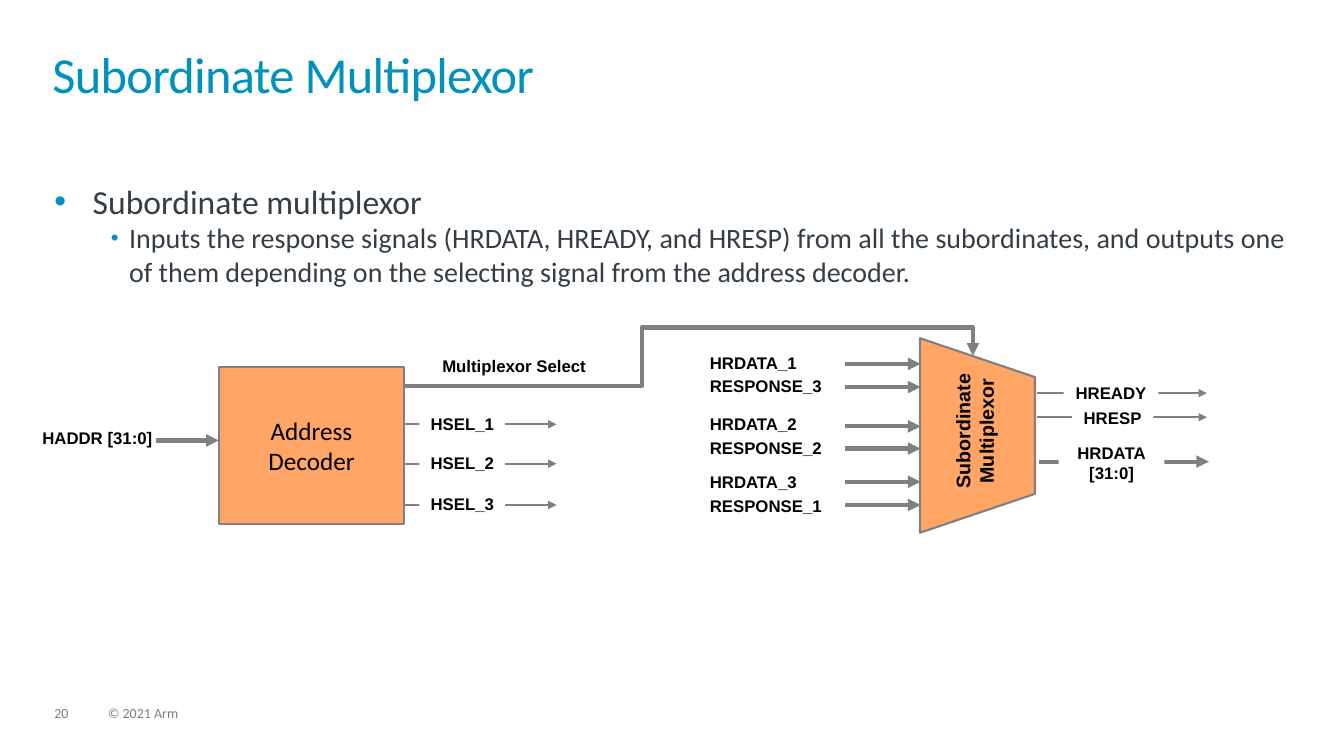
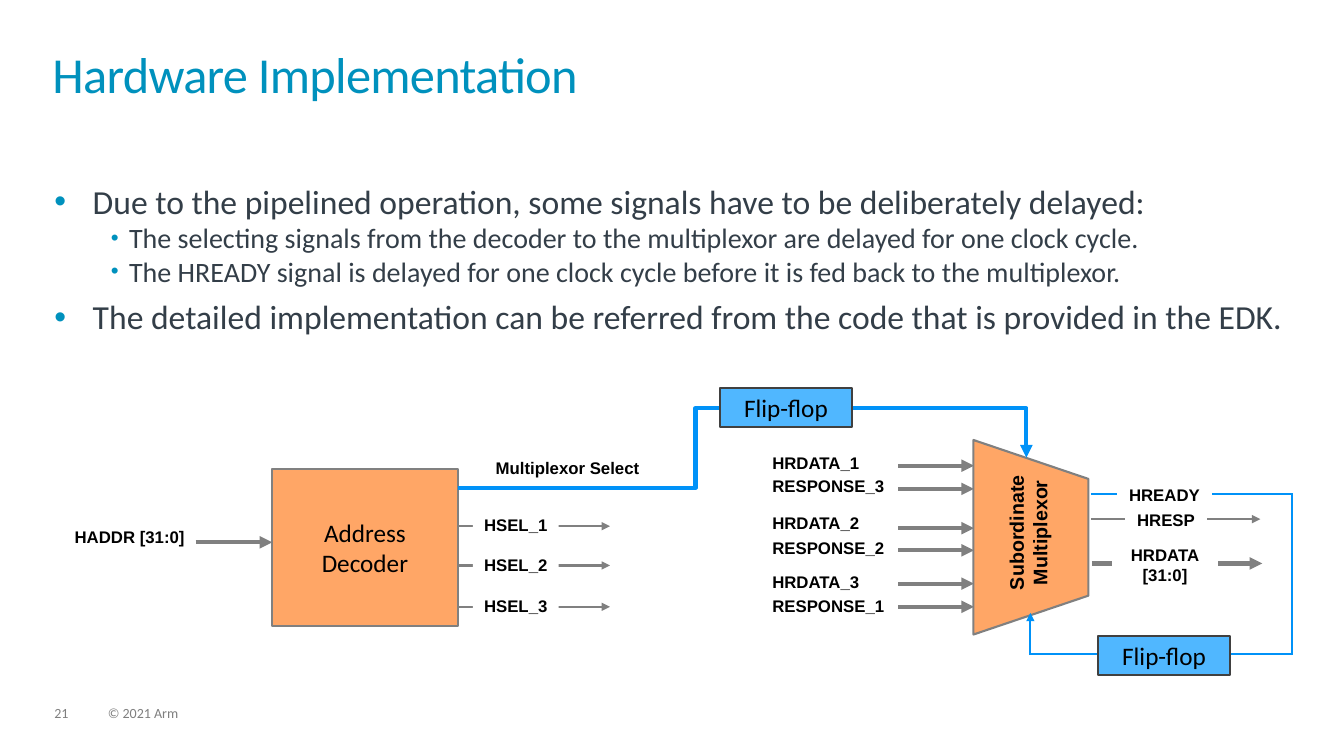
from dataclasses import dataclass
from typing import Optional

import lxml.etree
import pptx
import pptx.dml.color
import pptx.enum.shapes
import pptx.enum.text
import pptx.oxml.ns
import pptx.util

RGBColor = pptx.dml.color.RGBColor
Align = pptx.enum.text.PP_ALIGN
Anchor = pptx.enum.text.MSO_ANCHOR
Shape = pptx.enum.shapes.MSO_SHAPE
Connector = pptx.enum.shapes.MSO_CONNECTOR
Pt = pptx.util.Pt
qn = pptx.oxml.ns.qn

WHITE = RGBColor(0xFF, 0xFF, 0xFF)
BLACK = RGBColor(0, 0, 0)
TEAL = RGBColor(0x00, 0x91, 0xBD)
SLATE = RGBColor(0x33, 0x3E, 0x48)
FOOTER_GREY = RGBColor(0x7F, 0x7F, 0x7F)
WIRE_GREY = RGBColor(0x80, 0x80, 0x80)
WIRE_BLUE = RGBColor(0x00, 0x92, 0xF8)
ORANGE = RGBColor(0xFF, 0xA6, 0x66)
SKY = RGBColor(0x50, 0xB7, 0xFF)
CHARCOAL = RGBColor(0x40, 0x40, 0x40)

CELL = pptx.util.Inches(0.1)
THIN, THICK = 1.5, 3
HSEL_ROWS = (5.7, 9.6, 13.7)
RESPONSE_ROWS = (-0.3, 2, 5.9, 8.1, 11.4, 13.7)
RESPONSE_LABELS = (
    ("HRDATA_1", -1.4), ("RESPONSE_3", 0.9),
    ("HRDATA_2", 4.6), ("RESPONSE_2", 7),
    ("HRDATA_3", 10.4), ("RESPONSE_1", 12.8),
)


@dataclass(frozen=True)
class Style:
    size: float
    color: RGBColor = BLACK
    name: str = "Calibri"
    bold: bool = False
    align: Align = Align.LEFT
    spacing: Optional[float] = None


@dataclass(frozen=True)
class Box:
    col: float
    row: float
    cols: float
    rows: float


@dataclass(frozen=True)
class Wire:
    col1: float
    row1: float
    col2: float
    row2: float
    width: float = THIN
    color: RGBColor = WIRE_GREY
    arrow: bool = True


@dataclass(frozen=True)
class Bullet:
    text: str
    level: int = 0


@dataclass(frozen=True)
class Diagram:
    col: float
    row: float
    haddr_col: float
    label_col: float
    label_lift: float
    select_top: float
    select_color: RGBColor
    delayed: bool


@dataclass(frozen=True)
class Page:
    number: int
    title: str
    bullets: tuple[Bullet, ...]
    diagram: Diagram


TITLE = Style(36, TEAL, spacing=0.85)
FOOTER = Style(10, FOOTER_GREY, spacing=0.9)
BLOCK = Style(18, align=Align.CENTER)
SIGNAL = Style(12, name="Arial", bold=True)
SIGNAL_MID = Style(12, name="Arial", bold=True, align=Align.CENTER)
MUX_NAME = Style(14, name="Arial", bold=True, align=Align.CENTER)
BODY = (Style(24, SLATE), Style(20, SLATE))
INDENTS = ((0.38, -0.38, 100), (0.74, -0.18, 80))


def cells(n: float) -> int:
    return round(n * CELL)


def style_paragraph(p, style: Style) -> None:
    p.alignment = style.align
    if style.spacing:
        p.line_spacing = style.spacing
    p.font.size = Pt(style.size)
    p.font.name = style.name
    p.font.bold = style.bold
    p.font.color.rgb = style.color


def write(tf, lines: tuple[str, ...], style: Style) -> None:
    for i, line in enumerate(lines):
        p = tf.add_paragraph() if i else tf.paragraphs[0]
        p.add_run().text = line
        style_paragraph(p, style)


def clear_margins(tf) -> None:
    tf.margin_left = tf.margin_right = tf.margin_top = tf.margin_bottom = 0


def add_text(slide, box: Box, lines: tuple[str, ...], style: Style):
    sp = slide.shapes.add_textbox(*map(cells, (box.col, box.row, box.cols, box.rows)))
    tf = sp.text_frame
    tf.word_wrap = True
    clear_margins(tf)
    write(tf, lines, style)
    return sp


def add_bullets(slide, bullets: tuple[Bullet, ...]) -> None:
    tf = add_text(slide, Box(5.4, 17.9, 122.3, 44.7), (), BODY[0]).text_frame
    for i, bullet in enumerate(bullets):
        p = tf.add_paragraph() if i else tf.paragraphs[0]
        p.add_run().text = bullet.text
        left, hang, size = INDENTS[bullet.level]
        if i and bullet.level == 0:
            p.space_before = Pt(6)
        p_pr = p._p.get_or_add_pPr()
        p_pr.set("marL", str(pptx.util.Inches(left)))
        p_pr.set("indent", str(pptx.util.Inches(hang)))
        color = lxml.etree.SubElement(p_pr, qn("a:buClr"))
        lxml.etree.SubElement(color, qn("a:srgbClr")).set("val", str(TEAL))
        lxml.etree.SubElement(p_pr, qn("a:buSzPct")).set("val", str(size * 1000))
        lxml.etree.SubElement(p_pr, qn("a:buFont")).set("typeface", "Arial")
        lxml.etree.SubElement(p_pr, qn("a:buChar")).set("char", "•")
        style_paragraph(p, BODY[bullet.level])


class Canvas:
    def __init__(self, slide, col: float, row: float) -> None:
        self.slide, self.col, self.row = slide, col, row

    def place(self, box: Box) -> Box:
        return Box(self.col + box.col, self.row + box.row, box.cols, box.rows)

    def wire(self, wire: Wire, kind: Connector = Connector.STRAIGHT):
        cx = self.slide.shapes.add_connector(
            kind,
            cells(self.col + wire.col1), cells(self.row + wire.row1),
            cells(self.col + wire.col2), cells(self.row + wire.row2))
        cx.line.color.rgb = wire.color
        cx.line.width = Pt(wire.width)
        if wire.arrow:
            ln = cx.line._get_or_add_ln()
            lxml.etree.SubElement(ln, qn("a:tailEnd")).set("type", "triangle")
        lxml.etree.SubElement(cx._element.spPr, qn("a:effectLst"))
        return cx

    def elbow(self, wire: Wire, via_col: float, via_row: float) -> None:
        cx = self.wire(wire, Connector.ELBOW)
        geom = cx._element.spPr.find(qn("a:prstGeom"))
        geom.set("prst", "bentConnector4")
        guides = geom.find(qn("a:avLst"))
        shares = ((via_col - wire.col1) / (wire.col2 - wire.col1),
                  (via_row - wire.row1) / (wire.row2 - wire.row1))
        for i, share in enumerate(shares, 1):
            gd = lxml.etree.SubElement(guides, qn("a:gd"))
            gd.set("name", f"adj{i}")
            gd.set("fmla", f"val {round(share * 100000)}")

    def label(self, text: str, col: float, row: float, cols: float,
              style: Style = SIGNAL_MID) -> None:
        lines = tuple(text.split("\n"))
        sp = add_text(self.slide, self.place(Box(col, row, cols, 2 * len(lines))), lines, style)
        sp.fill.solid()
        sp.fill.fore_color.rgb = WHITE

    def block(self, box: Box, lines: tuple[str, ...] = (), fill: RGBColor = ORANGE,
              line: RGBColor = WIRE_GREY, kind: Shape = Shape.RECTANGLE):
        at = self.place(box)
        sp = self.slide.shapes.add_shape(
            kind, *map(cells, (at.col, at.row, at.cols, at.rows)))
        sp.shadow.inherit = False
        sp.fill.solid()
        sp.fill.fore_color.rgb = fill
        sp.line.color.rgb = line
        sp.line.width = Pt(THIN)
        tf = sp.text_frame
        tf.word_wrap = False
        tf.vertical_anchor = Anchor.MIDDLE
        write(tf, lines, BLOCK)
        return sp

    def flip_flop(self, col: float, row: float) -> None:
        self.block(Box(col, row, 13.1, 3.9), ("Flip-flop",), SKY, CHARCOAL)


def draw_decoder(canvas: Canvas, d: Diagram) -> None:
    canvas.wire(Wire(-7.6, 7.3, 0, 7.3, THICK))
    canvas.label("HADDR [31:0]", d.haddr_col, 6 + d.label_lift, 11.3, SIGNAL)
    canvas.label("Multiplexor Select", 17.3, -1.1, 24)
    for i, row in enumerate(HSEL_ROWS, 1):
        canvas.wire(Wire(18.4, row, 33.5, row))
        canvas.label(f"HSEL_{i}", 19.9, row - 1.1, 8.5)
    canvas.block(Box(0, 0, 18.4, 15.6), ("Address", "Decoder"))


def draw_multiplexor(canvas: Canvas, d: Diagram) -> None:
    mux = canvas.block(Box(65.6, 1.1, 19.3, 11.4), kind=Shape.FLOWCHART_MANUAL_OPERATION)
    name = add_text(canvas.slide, canvas.place(Box(68, 4, 13.9, 4.7)),
                    ("Subordinate", "Multiplexor"), MUX_NAME)
    mux.rotation = name.rotation = 270
    for text, row in RESPONSE_LABELS:
        canvas.label(text, d.label_col, row + d.label_lift, 12, SIGNAL)
    for row in RESPONSE_ROWS:
        canvas.wire(Wire(62.1, row, 69.6, row, THICK))
    canvas.elbow(Wire(18.4, 1.9, 74.8, -1.1, THICK, d.select_color), 42, d.select_top)


def draw_outputs(canvas: Canvas, d: Diagram) -> None:
    canvas.wire(Wire(81.3, 9.4, 98.2, 9.4, THICK))
    canvas.wire(Wire(81.2, 5, 98, 5))
    if d.delayed:
        canvas.wire(Wire(81.2, 2.5, 101.1, 2.5, THIN, WIRE_BLUE, False))
    else:
        canvas.wire(Wire(81.2, 2.6, 98, 2.6))
    canvas.label("HREADY", 83.8, 1.6, 9.4)
    canvas.label("HRESP", 84.6, 4.1, 8.1)
    canvas.label("HRDATA\n[31:0]", 83.3, 7.5, 10.5)


def draw_delays(canvas: Canvas) -> None:
    for wire in (
        Wire(75.2, 18.5, 75.2, 14.3, THIN, WIRE_BLUE),
        Wire(75.1, 18.4, 101.1, 18.4, THIN, WIRE_BLUE, False),
        Wire(101.1, 18.5, 101.1, 2.4, THIN, WIRE_BLUE, False),
    ):
        canvas.wire(wire)
    canvas.flip_flop(44.4, -8)
    canvas.flip_flop(81.9, 16.6)


def draw_page(prs, page: Page) -> None:
    slide = prs.slides.add_slide(prs.slide_layouts[6])
    add_text(slide, Box(5.4, 70.1, 3.4, 1.5), (str(page.number),), FOOTER)
    add_text(slide, Box(10.7, 70.1, 50.7, 1.5), ("© 2021 Arm",), FOOTER)
    title = add_text(slide, Box(5.2, 5.2, 122.8, 7.2), (page.title,), TITLE)
    title.text_frame.paragraphs[0].runs[0]._r.get_or_add_rPr().set("spc", "-50")
    add_bullets(slide, page.bullets)
    d = page.diagram
    canvas = Canvas(slide, d.col, d.row)
    draw_decoder(canvas, d)
    draw_multiplexor(canvas, d)
    draw_outputs(canvas, d)
    if d.delayed:
        draw_delays(canvas)


PAGES = (
    Page(20, "Subordinate Multiplexor", (
        Bullet("Subordinate multiplexor"),
        Bullet("Inputs the response signals (HRDATA, HREADY, and HRESP) from all the "
               "subordinates, and outputs one of them depending on the selecting signal "
               "from the address decoder.", 1),
    ), Diagram(21.7, 36.4, -17.5, 48.7, 0, -3.9, WIRE_GREY, False)),
    Page(21, "Hardware Implementation", (
        Bullet("Due to the pipelined operation, some signals have to be deliberately delayed:"),
        Bullet("The selecting signals from the decoder to the multiplexor are delayed "
               "for one clock cycle.", 1),
        Bullet("The HREADY signal is delayed for one clock cycle before it is fed back "
               "to the multiplexor.", 1),
        Bullet("The detailed implementation can be referred from the code that is "
               "provided in the EDK."),
    ), Diagram(27, 46.5, -19.6, 49.6, -0.2, -6, WIRE_BLUE, True)),
)


def main() -> None:
    prs = pptx.Presentation()
    prs.slide_width = pptx.util.Inches(13.33)
    prs.slide_height = pptx.util.Inches(7.5)
    for page in PAGES:
        draw_page(prs, page)
    prs.save("out.pptx")


if __name__ == "__main__":
    main()
